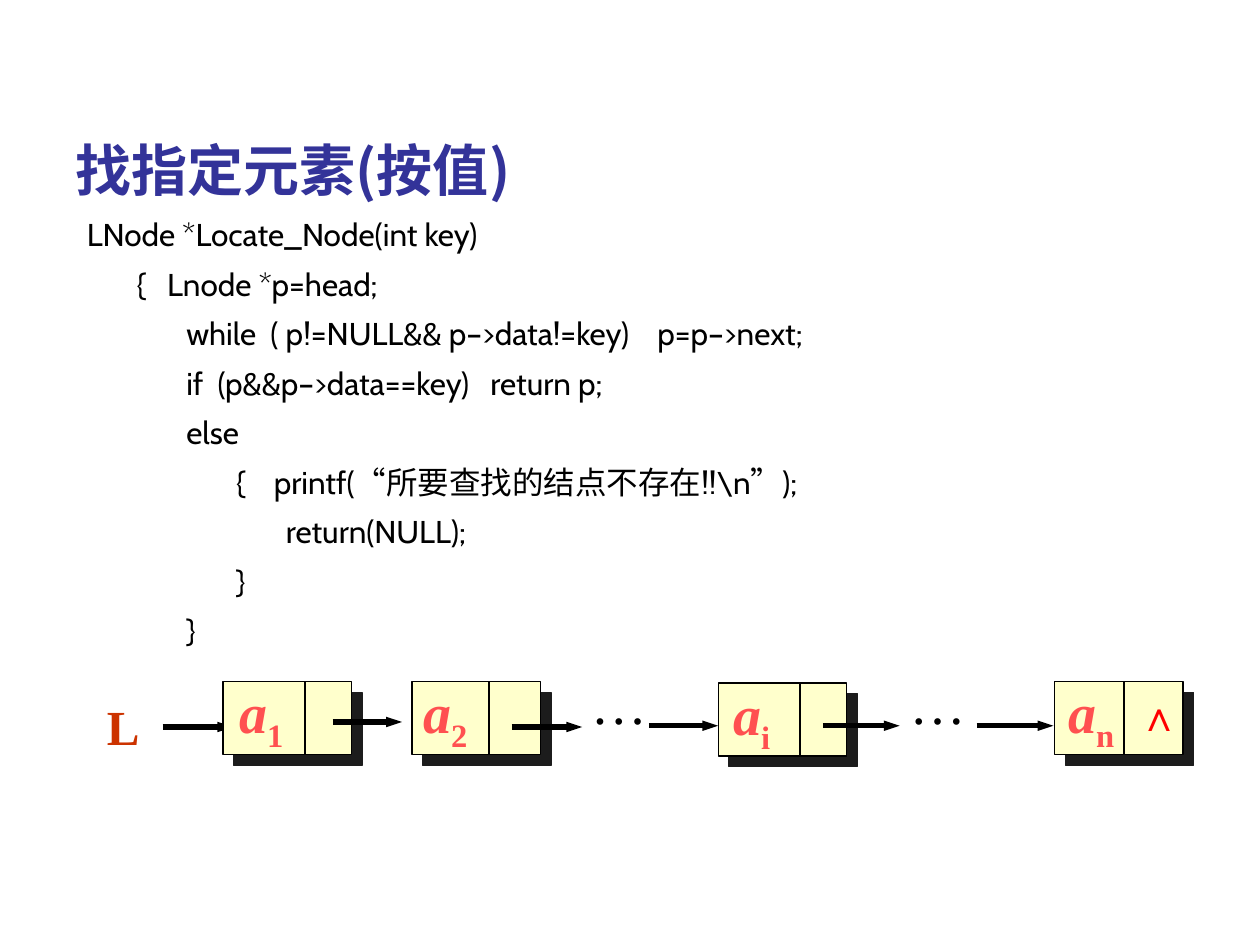
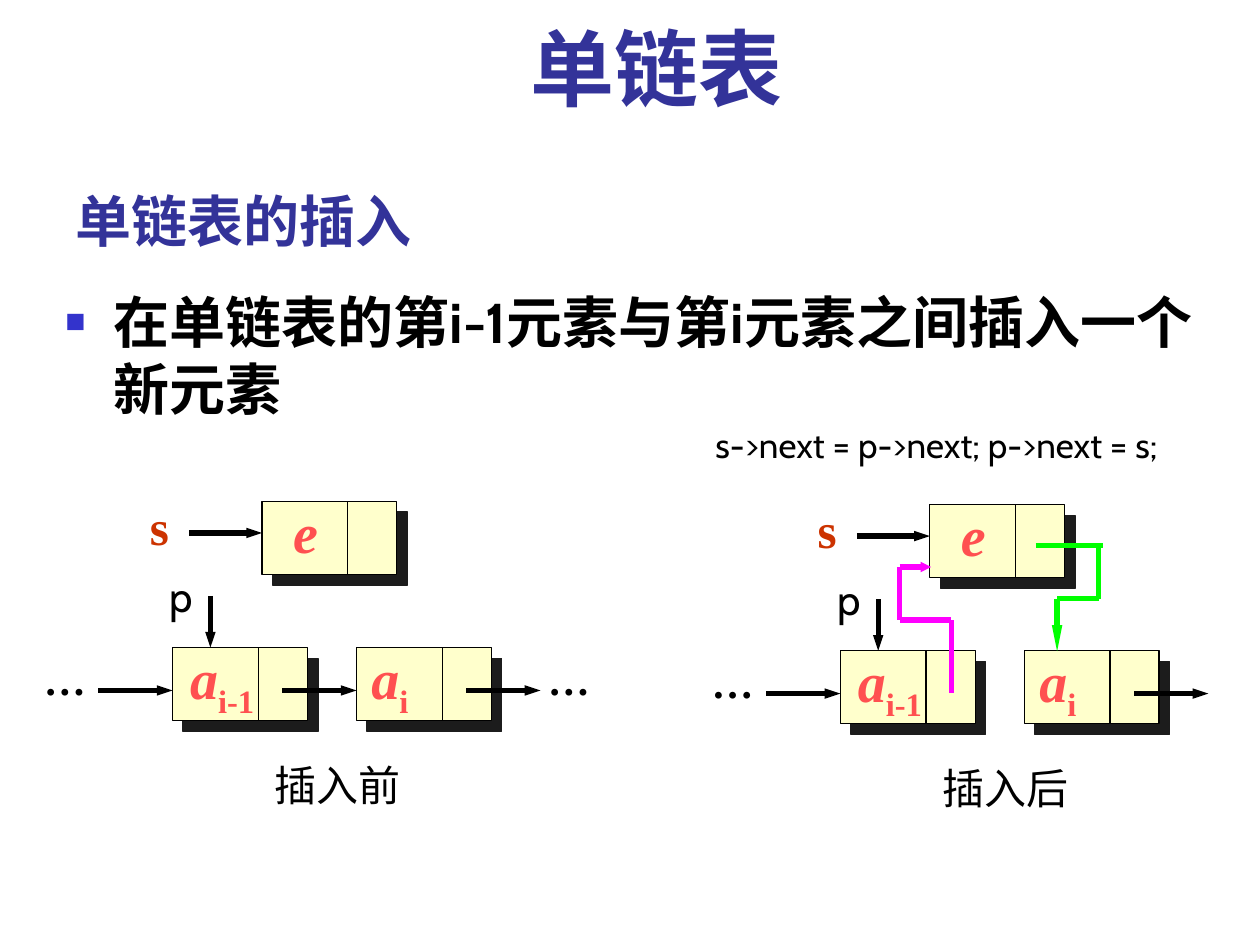
from lxml import etree
from pptx import Presentation
from pptx.dml.color import RGBColor
from pptx.enum import shapes, text
from pptx.oxml import ns
from pptx.util import Inches, Pt

SANS, SERIF, CJK = "Cabin", "Times New Roman", "Noto Sans CJK SC"
BLACK, TITLE, BULLET = "000000", "333399", "3333CC"
NODE, SHADOW, LABEL, POINTER = "FFFFCC", "1C1C1C", "FF5050", "CC3300"
NULL, PINK, GREEN = "FF0000", "FF00FF", "00FF00"
NODE_H, INDENT = 0.58, 0.79 / 2

CODE = [
    (0, "LNode *Locate_Node(int key)"),
    (1, "{   Lnode *p=head;"),
    (2, "while  ( p!=NULL&& p–>data!=key)    p=p–>next;"),
    (2, "if  (p&&p–>data==key)   return p;"),
    (2, "else"),
    (3, "{    printf(“所要查找的结点不存在!!\\n”);"),
    (4, "return(NULL);"),
    (3, "}"),
    (2, "}"),
]

LIST_NODES = [
    (1.77, 5.41, 0.65, "1", 0.03, 0.55),
    (3.27, 5.41, 0.61, "2", -0.01, 0.55),
    (5.7, 5.42, 0.65, "i", 0.02, 0.5),
    (8.37, 5.41, 0.55, "n", 0.01, 0.57),
]
HEAD_ARROW = (1.29, 5.77, 1.85, 5.77)
LIST_ARROWS = [
    (2.64, 5.73, 3.19, 5.73), (4.06, 5.77, 4.62, 5.77), (5.15, 5.76, 5.7, 5.76),
    (6.53, 5.76, 7.14, 5.76), (7.75, 5.76, 8.36, 5.76),
]

INSERT_NODES = [
    (1.37, 5.14, "a", "i-1", 0.04, 0.71),
    (2.83, 5.14, "a", "i", 0.02, 0.5),
    (2.08, 3.98, "e", "", 0.02, 0.65),
]
INSERT_ARROWS = [
    (0.78, 5.48, 1.37, 5.48), (3.7, 5.48, 4.29, 5.48),
    (1.5, 4.23, 2.08, 4.23), (1.67, 4.73, 1.67, 5.14),
]
OLD_LINK = (2.24, 5.48, 2.83, 5.48)
NEW_LINKS = [
    (PINK, "sm", [(7.55, 5.5), (7.55, 4.92), (7.14, 4.92), (7.14, 4.5), (7.39, 4.5)]),
    (GREEN, "lg", [(8.22, 4.33), (8.75, 4.33), (8.72, 4.33), (8.72, 4.75),
                   (8.39, 4.75), (8.39, 5.17)]),
]
PANELS = [("插入前", 0, 0), ("插入后", 5.3, 0.025)]


def rgb(value):
    return RGBColor.from_string(value)


def add_xml(parent, tag, **attrs):
    return etree.SubElement(parent, ns.qn(tag), attrs)


def style(p, size, font, color, bold=False):
    f = p.font
    f.size, f.name, f.bold = Pt(size), font, bold
    f.color.rgb = rgb(color)
    add_xml(p._p.pPr.find(ns.qn("a:defRPr")), "a:ea", typeface=CJK)


def add_text(s, at, content, size, font=SANS, color=BLACK, bold=False, wrap=True,
             align=None, anchor=text.MSO_ANCHOR.TOP):
    tf = s.shapes.add_textbox(*map(Inches, at)).text_frame
    tf.word_wrap, tf.vertical_anchor = wrap, anchor
    if not wrap:
        tf.auto_size = text.MSO_AUTO_SIZE.SHAPE_TO_FIT_TEXT
    p = tf.paragraphs[0]
    p.text = content
    p.alignment = align
    style(p, size, font, color, bold)
    return p


def add_title(s, y, content):
    add_text(s, (0.5, y, 6.25, 0.75), content, 32, CJK, TITLE, True,
             anchor=text.MSO_ANCHOR.BOTTOM)


def add_line(s, ends, color=BLACK, width=3, head="med"):
    c = s.shapes.add_connector(shapes.MSO_CONNECTOR.STRAIGHT, *map(Inches, ends))
    c.line.color.rgb = rgb(color)
    c.line.width = Pt(width)
    if head:
        add_xml(c.line._ln, "a:tailEnd", type="triangle", w="sm", len=head)
    add_xml(c._element.spPr, "a:effectLst")


def add_label(s, x, y, w, letter, sub=""):
    p = add_text(s, (x, y, w, 0.71), letter, 32, SERIF, LABEL, True, wrap=False,
                 align=None if sub else text.PP_ALIGN.CENTER)
    p.runs[0].font.italic = True
    if sub:
        r = p.add_run()
        r.text = sub
        r._r.get_or_add_rPr().set("baseline", "-25000")


def add_node(s, x, y, w, split):
    sp = s.shapes.add_shape(shapes.MSO_SHAPE.RECTANGLE, *map(Inches, (x, y, w, NODE_H)))
    sp.fill.solid()
    sp.fill.fore_color.rgb = rgb(NODE)
    sp.line.color.rgb = rgb(BLACK)
    sp.line.width = Pt(0.74)
    sp.shadow.inherit = False
    effects = sp._element.spPr.find(ns.qn("a:effectLst"))
    shadow = add_xml(effects, "a:outerShdw", dist=str(Pt(8.5)), dir="2700000",
                     algn="ctr", rotWithShape="0")
    add_xml(shadow, "a:srgbClr", val=SHADOW)
    add_line(s, (x + split, y, x + split, y + NODE_H), width=0.74, head=None)


def add_bullet(p):
    pPr = p._p.pPr
    pPr.set("marL", str(Inches(0.38)))
    pPr.set("indent", str(Inches(-0.38)))
    font = pPr.find(ns.qn("a:defRPr"))
    color = add_xml(pPr, "a:buClr")
    add_xml(color, "a:srgbClr", val=BULLET)
    for item in (color, add_xml(pPr, "a:buSzPct", val="60000"),
                 add_xml(pPr, "a:buFont", typeface="Arial"),
                 add_xml(pPr, "a:buChar", char="■")):
        font.addprevious(item)


def build_search(s):
    add_title(s, 0.91, "找指定元素(按值)")
    tf = s.shapes.add_textbox(*map(Inches, (0.59, 1.63, 9.41, 4.62))).text_frame
    tf.word_wrap = True
    for i, (level, line) in enumerate(CODE):
        p = tf.add_paragraph() if i else tf.paragraphs[0]
        p.text, p.level = line, level
        p.line_spacing, p.space_before = 1.1, Pt(4.5)
        style(p, 18, SANS, BLACK)
        p._p.pPr.set("marL", str(Inches(INDENT * level)))
        p._p.pPr.set("indent", "0")

    add_text(s, (0.75, 5.48, 0.46, 0.57), "L", 28, SERIF, POINTER, True, wrap=False)
    add_line(s, HEAD_ARROW)
    for x, y, split, sub, shift, w in LIST_NODES:
        add_node(s, x, y, 1.02, split)
        add_label(s, x + shift, y - 0.08, w, "a", sub)
    for ends in LIST_ARROWS:
        add_line(s, ends)
    for x in (4.59, 7.12):
        add_text(s, (x, 5.26, 0.55, 0.64), "…", 32, SERIF).space_before = Pt(20)
    add_text(s, (8.94, 5.42, 0.45, 0.5), "∧", 24, "Arial", NULL, True)


def build_panel(s, caption, dx, dy):
    def box(x, y, w, h):
        return x + dx, y + dy, w, h

    def shift(ends):
        x1, y1, x2, y2 = ends
        return x1 + dx, y1 + dy, x2 + dx, y2 + dy

    for x, y, letter, sub, gap, w in INSERT_NODES:
        add_node(s, x + dx, y + dy, 1.07, 0.68)
        add_label(s, x + dx + gap, y + dy - 0.08, w, letter, sub)
    for ends in INSERT_ARROWS:
        add_line(s, shift(ends))
    add_text(s, box(1.09, 3.89, 0.35, 0.57), "s", 28, SERIF, POINTER, True, wrap=False)
    for at, content, font, bold in [
        ((0.25, 5.14, 0.75, 0.5), "…", SERIF, True),
        ((1.25, 4.48, 0.75, 0.5), "p", SANS, False),
        ((2.08, 5.98, 1.33, 0.5), caption, SANS, False),
    ]:
        add_text(s, box(*at), content, 24, font, bold=bold).space_before = Pt(15)


def build_insert(s):
    add_title(s, 1.31, "单链表的插入")
    p = add_text(s, (0.42, 2.23, 9.58, 1.58),
                 "在单链表的第i-1元素与第i元素之间插入一个新元素", 32, bold=True)
    add_bullet(p)
    p.space_before = Pt(12)
    p = add_text(s, (0.67, 0.17, 9.08, 0.83), "单链表", 48, SERIF, TITLE, True,
                 align=text.PP_ALIGN.CENTER)
    p.line_spacing, p.space_before = 0.9, Pt(12)
    p._p.pPr.set("marL", str(Inches(0.38)))
    p._p.pPr.set("indent", str(Inches(-0.38)))

    for panel in PANELS:
        build_panel(s, *panel)
    add_line(s, OLD_LINK)
    add_text(s, (4.25, 5.14, 0.75, 0.5), "…", 24, SERIF, bold=True).space_before = Pt(15)
    for color, head, points in NEW_LINKS:
        last = len(points) - 2
        for i, (start, end) in enumerate(zip(points, points[1:])):
            add_line(s, start + end, color, head=head if i == last else None)
    add_text(s, (5.58, 3.31, 4.42, 0.44),
             "s->next = p->next; p->next = s;", 20).space_before = Pt(12.5)


prs = Presentation()
prs.slide_width, prs.slide_height = Inches(10), Inches(7.5)
for build in (build_search, build_insert):
    build(prs.slides.add_slide(prs.slide_layouts[6]))
prs.save("out.pptx")
